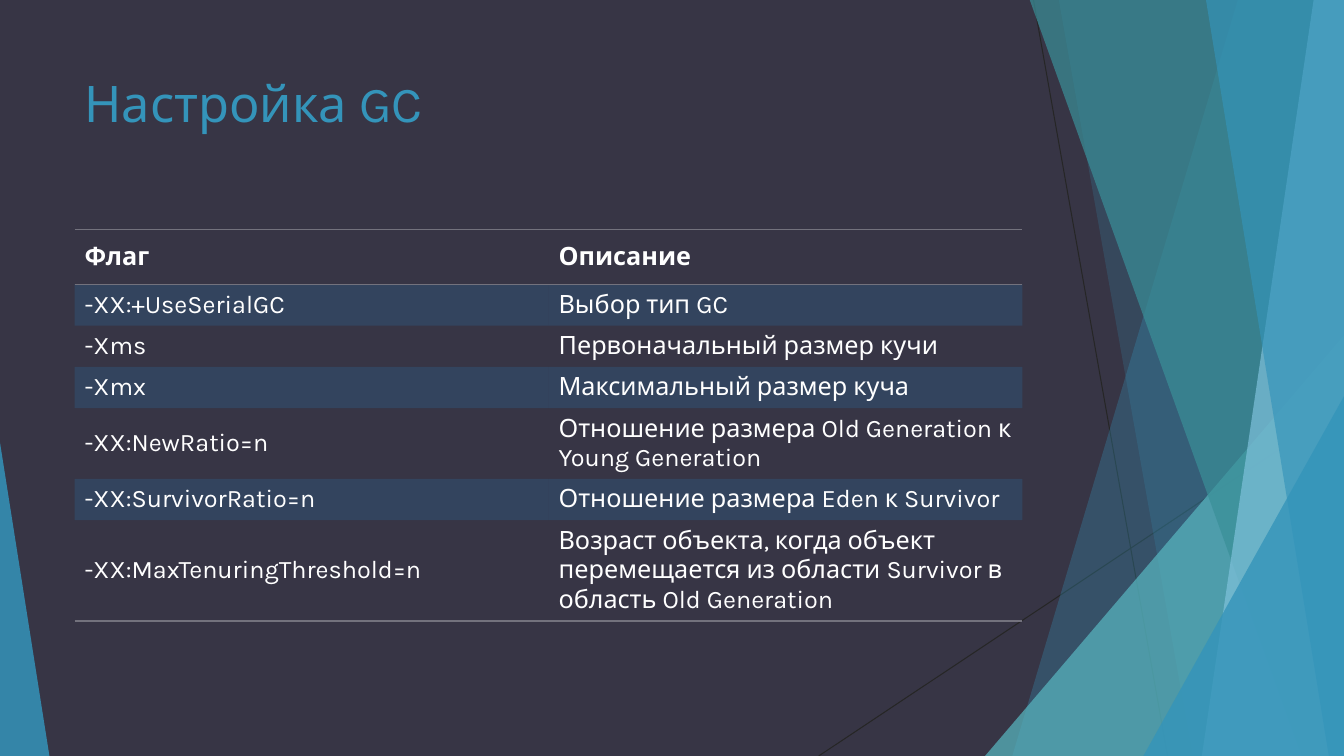
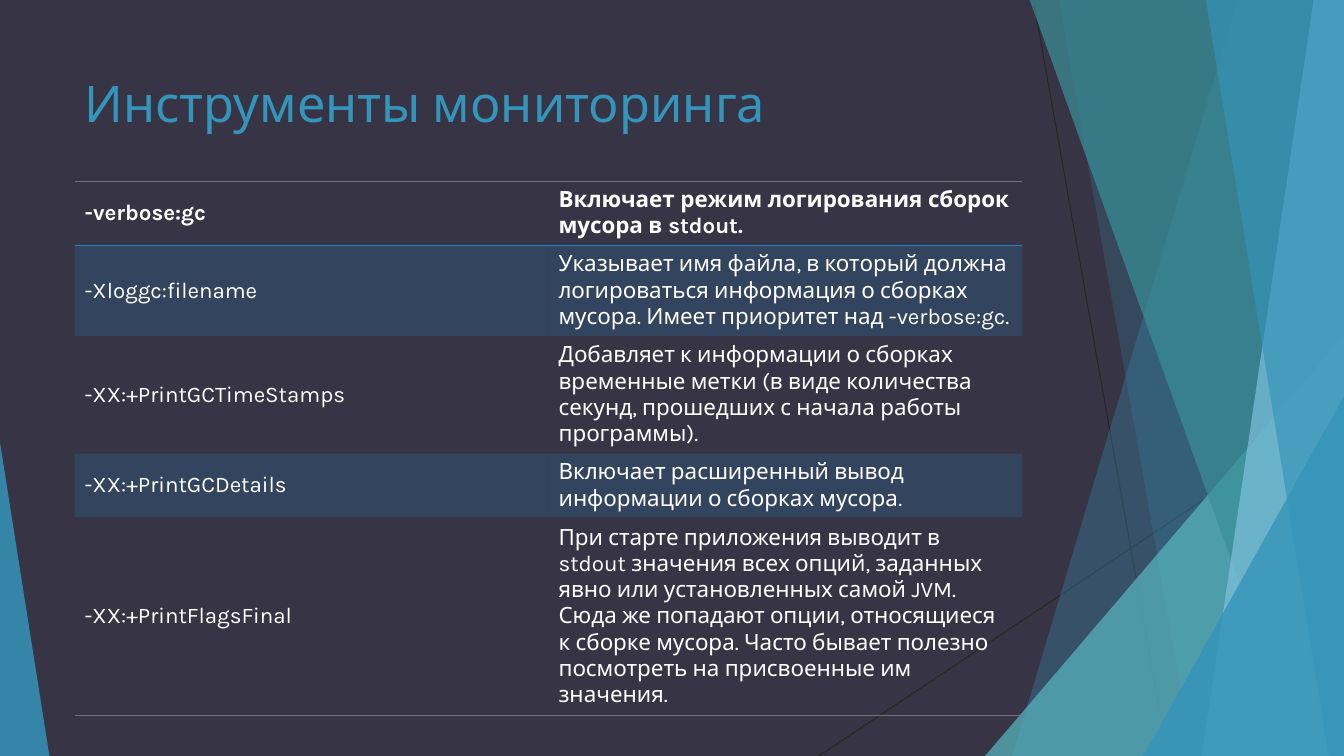
from lxml import etree
from pptx import Presentation
from pptx import util as u
from pptx.dml.color import RGBColor
from pptx.enum import shapes, text
from pptx.oxml import ns

W, H = 13.33, 7.5
FONT = "Karla"
BACK, WHITE, DARK, GREY = "373545", "FFFFFF", "262626", "73727D"
BLUE, TEAL, DEEP, PALE, BAND = "3494BA", "58B6C0", "3A8F98", "7FC1DB", "2683C6"
LEFT, WIDTH = 0.74, 9.4

RAYS = [((10.25, 0), (11.58, H)), ((W, 4.03), (8.12, H))]
PANELS_BACK = [(12.28, 10.04, BLUE, 30), (10.5, 11.83, BLUE, 20)]
PANELS_FRONT = [(10.21, 12.91, DEEP, 70), (13.03, 11.92, PALE, 70),
                (11.96, 13.18, BLUE, 65)]

SETTINGS = [
    ("Флаг", "Описание"),
    ("-XX:+UseSerialGC", "Выбор тип GC"),
    ("-Xms", "Первоначальный размер кучи"),
    ("-Xmx", "Максимальный размер куча"),
    ("-XX:NewRatio=n", "Отношение размера Old Generation к Young Generation"),
    ("-XX:SurvivorRatio=n", "Отношение размера Eden к Survivor"),
    ("-XX:MaxTenuringThreshold=n",
     "Возраст объекта, когда объект перемещается из области Survivor "
     "в область Old Generation"),
]
MONITORING = [
    ("-verbose:gc", "Включает режим логирования сборок мусора в stdout."),
    ("-Xloggc:filename",
     "Указывает имя файла, в который должна логироваться информация "
     "о сборках мусора. Имеет приоритет над -verbose:gc."),
    ("-XX:+PrintGCTimeStamps",
     "Добавляет к информации о сборках временные метки (в виде количества "
     "секунд, прошедших с начала работы программы)."),
    ("-XX:+PrintGCDetails",
     "Включает расширенный вывод информации о сборках мусора."),
    ("-XX:+PrintFlagsFinal",
     "При старте приложения выводит в stdout значения всех опций, заданных "
     "явно или установленных самой JVM. Сюда же попадают опции, относящиеся "
     "к сборке мусора. Часто бывает полезно посмотреть на присвоенные им "
     "значения."),
]


def rgb(value):
    return RGBColor.from_string(value)


def paint(fill, element, color, alpha):
    fill.solid()
    fill.fore_color.rgb = rgb(color)
    clr = element.find("./" + ns.qn("a:solidFill") + "/" + ns.qn("a:srgbClr"))
    etree.SubElement(clr, ns.qn("a:alpha"), val=str(alpha * 1000))


def glass(sp, color, alpha):
    sp.shadow.inherit = False
    sp.line.fill.background()
    paint(sp.fill, sp._element.spPr, color, alpha)


def add_ray(s, start, end):
    ln = s.shapes.add_connector(shapes.MSO_CONNECTOR.STRAIGHT,
                                *map(u.Inches, start + end))
    ln.line.color.rgb = rgb(DARK)
    ln.line.width = u.Pt(0.75)
    etree.SubElement(ln._element.spPr, ns.qn("a:effectLst"))


def add_panel(s, top_x, bottom_x, color, alpha):
    pts = [(u.Inches(x), u.Inches(y)) for x, y in
           [(top_x, -0.01), (W, -0.01), (W, H), (bottom_x, H)]]
    fb = s.shapes.build_freeform(*pts[0])
    fb.add_line_segments(pts[1:], close=True)
    glass(fb.convert_to_shape(), color, alpha)


def add_triangle(s, x, y, w, apex, color, alpha):
    sp = s.shapes.add_shape(shapes.MSO_SHAPE.ISOSCELES_TRIANGLE,
                            *map(u.Inches, (x, y, w, H - y)))
    sp.adjustments[0] = apex
    glass(sp, color, alpha)


def add_backdrop(s):
    s.background.fill.solid()
    s.background.fill.fore_color.rgb = rgb(BACK)
    for ray in RAYS:
        add_ray(s, *ray)
    for panel in PANELS_BACK:
        add_panel(s, *panel)
    add_triangle(s, 9.77, 3.33, 3.56, 1, TEAL, 72)
    for panel in PANELS_FRONT:
        add_panel(s, *panel)
    add_triangle(s, 11.34, 3.93, 1.99, 1, BLUE, 80)
    add_triangle(s, 0, 4.39, 0.49, 0, BLUE, 85)


def write(tf, words, size, color, bold=False):
    r = tf.paragraphs[0].add_run()
    r.text = words
    r.font.name = FONT
    r.font.size = u.Pt(size)
    r.font.bold = bold
    r.font.color.rgb = rgb(color)


def add_title(s, words):
    tf = s.shapes.add_textbox(*map(u.Inches, (LEFT, 0.67, WIDTH, 1.44))).text_frame
    tf.word_wrap = True
    tf.vertical_anchor = text.MSO_ANCHOR.TOP
    write(tf, words, 36, BLUE)


def set_borders(cell, top, bottom):
    tc_pr = cell._tc.get_or_add_tcPr()
    for side, color in (("L", None), ("R", None), ("T", top), ("B", bottom)):
        ln = etree.SubElement(tc_pr, ns.qn("a:ln" + side), w=str(u.Pt(1)))
        if color:
            solid = etree.SubElement(ln, ns.qn("a:solidFill"))
            etree.SubElement(solid, ns.qn("a:srgbClr"), val=color)
        else:
            etree.SubElement(ln, ns.qn("a:noFill"))


def add_flag_table(s, rows, top, size, heights, header_rule):
    frame = s.shapes.add_table(len(rows), 2, *map(
        u.Inches, (LEFT, top, WIDTH, sum(heights))))
    table = frame.table
    table.horz_banding = False
    rules = [GREY, header_rule] + [None] * (len(rows) - 2) + [GREY]
    for i, row in enumerate(rows):
        table.rows[i].height = u.Inches(heights[i])
        for j, words in enumerate(row):
            cell = table.cell(i, j)
            cell.vertical_anchor = text.MSO_ANCHOR.MIDDLE
            set_borders(cell, rules[i], rules[i + 1])
            if i % 2:
                paint(cell.fill, cell._tc.tcPr, BAND, 20)
            else:
                cell.fill.background()
            write(cell.text_frame, words, size, WHITE, bold=i == 0)


def add_flag_slide(prs, title, *table):
    s = prs.slides.add_slide(prs.slide_layouts[6])
    add_backdrop(s)
    add_title(s, title)
    add_flag_table(s, *table)


def main():
    prs = Presentation()
    prs.slide_width, prs.slide_height = u.Inches(W), u.Inches(H)
    add_flag_slide(prs, "Настройка GC", SETTINGS, 2.28, 18,
                   [0.54] + [0.41] * 6, GREY)
    add_flag_slide(prs, "Инструменты мониторинга", MONITORING, 1.8, 16,
                   [0.41] * 5, BAND)
    prs.save("out.pptx")


if __name__ == "__main__":
    main()
